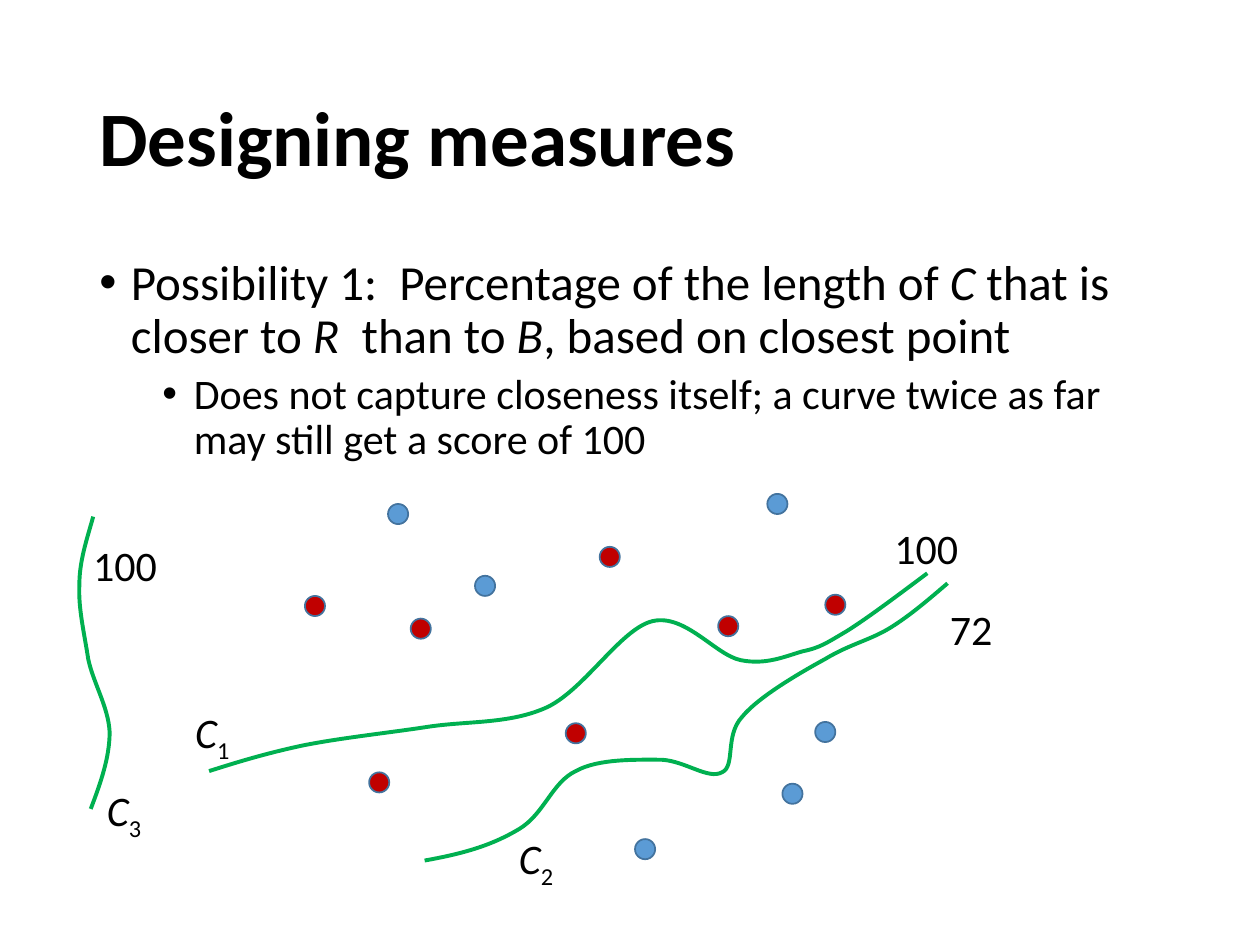
from lxml import etree
from pptx import Presentation
from pptx.dml.color import RGBColor
from pptx.enum.shapes import MSO_SHAPE
from pptx.enum.text import MSO_ANCHOR, MSO_AUTO_SIZE
from pptx.oxml.ns import qn
from pptx.util import Inches, Pt

OVAL = MSO_SHAPE.OVAL
MIDDLE = MSO_ANCHOR.MIDDLE
GROW = MSO_AUTO_SIZE.SHAPE_TO_FIT_TEXT
FONT = "Calibri"
COLORS = {"text": "000000", "blue": "5B9BD5", "red": "C00000",
          "outline": "43739E", "curve": "00B050"}


def color(name):
    return RGBColor.from_string(COLORS[name])


def add_span(para, text, size, bold=False, italic=False, subscript=False):
    span = para.add_run()
    span.text = text
    span.font.name = FONT
    span.font.size = Pt(size)
    span.font.bold = bold
    span.font.italic = italic
    span.font.color.rgb = color("text")
    if subscript:
        span._r.get_or_add_rPr().set("baseline", "-25000")


deck = Presentation()
deck.slide_width, deck.slide_height = Inches(10), Inches(7.5)
page = deck.slides.add_slide(deck.slide_layouts[6])
shapes = page.shapes

# Title
title = shapes.add_textbox(Inches(0.69), Inches(0.4), Inches(8.62), Inches(1.45))
title.text_frame.word_wrap = True
title.text_frame.vertical_anchor = MIDDLE
para = title.text_frame.paragraphs[0]
para.line_spacing = 0.9
add_span(para, "Designing measures", 44, bold=True)

# Bulleted text: level, size, space before, left margin, (text, italic) spans
bullets = [
    (0, 28, 10, 0.25, [
        ("Possibility 1:  Percentage of the length of ", False), ("C", True),
        (" that is closer to ", False), ("R", True), ("  than to ", False),
        ("B", True), (", based on closest point", False)]),
    (1, 24, 5, 0.75, [
        ("Does not capture closeness itself; a curve twice as far "
         "may still get a score of 100", False)]),
]
body = shapes.add_textbox(Inches(0.69), Inches(2), Inches(8.62), Inches(2.65))
body.text_frame.word_wrap = True
for index, (level, size, before, margin, spans) in enumerate(bullets):
    para = body.text_frame.add_paragraph() if index else body.text_frame.paragraphs[0]
    para.level = level
    para.line_spacing = 0.9
    para.space_before = Pt(before)
    props = para._p.get_or_add_pPr()
    props.set("marL", str(Inches(margin)))
    props.set("indent", str(Inches(-0.25)))
    etree.SubElement(props, qn("a:buFont")).set("typeface", "Arial")
    etree.SubElement(props, qn("a:buChar")).set("char", "•")
    for text, italic in spans:
        add_span(para, text, size, italic=italic)

# Points of the two sets
points = {
    "blue": [(3.77, 4.57), (3.08, 4), (6.47, 5.73), (5.04, 6.66),
             (6.21, 6.22), (6.09, 3.92)],
    "red": [(2.42, 4.73), (3.26, 4.91), (4.76, 4.34), (2.93, 6.13),
            (4.49, 5.74), (5.7, 4.89), (6.55, 4.72)],
}
for name, places in points.items():
    for left, top in places:
        dot = shapes.add_shape(OVAL, Inches(left), Inches(top), Inches(0.16), Inches(0.16))
        dot.shadow.inherit = False
        dot.fill.solid()
        dot.fill.fore_color.rgb = color(name)
        dot.line.color.rgb = color("outline")
        dot.line.width = Pt(1)

# Curves: a start, then two control points and an end for every segment
curves = [
    [(1.66, 6.12),
     (1.88, 6.05), (2.11, 5.98), (2.39, 5.92),
     (2.68, 5.86), (3.06, 5.82), (3.39, 5.77),
     (3.71, 5.72), (4.05, 5.75), (4.35, 5.61),
     (4.65, 5.46), (4.93, 4.99), (5.18, 4.93),
     (5.44, 4.87), (5.68, 5.2), (5.88, 5.24),
     (6.08, 5.28), (6.23, 5.21), (6.37, 5.17),
     (6.51, 5.14), (6.55, 5.11), (6.72, 5.01),
     (6.88, 4.91), (7.12, 4.73), (7.36, 4.55)],
    [(3.37, 6.83),
     (3.71, 6.77), (3.92, 6.7), (4.12, 6.58),
     (4.32, 6.46), (4.38, 6.21), (4.57, 6.12),
     (4.75, 6.02), (5.05, 6.03), (5.25, 6.03),
     (5.44, 6.04), (5.62, 6.19), (5.73, 6.13),
     (5.84, 6.08), (5.75, 5.84), (5.89, 5.69),
     (6.02, 5.53), (6.35, 5.34), (6.55, 5.23),
     (6.75, 5.11), (6.91, 5.08), (7.07, 4.98),
     (7.23, 4.88), (7.38, 4.75), (7.52, 4.63)],
    [(0.74, 4.1),
     (0.69, 4.28), (0.63, 4.45), (0.63, 4.64),
     (0.62, 4.83), (0.67, 5.03), (0.7, 5.23),
     (0.74, 5.42), (0.86, 5.61), (0.87, 5.81),
     (0.87, 6.01), (0.8, 6.21), (0.72, 6.42)],
]
for knots in curves:
    start, *rest = [(Inches(x), Inches(y)) for x, y in knots]
    builder = shapes.build_freeform(*start)
    builder.add_line_segments(rest, close=False)
    curve = builder.convert_to_shape()
    curve.shadow.inherit = False
    curve.fill.background()
    curve.line.color.rgb = color("curve")
    curve.line.width = Pt(2.25)
    # Join each three straight steps into one Bezier segment
    outline = next(curve._element.iter(qn("a:path")))
    steps = outline.findall(qn("a:lnTo"))
    for first in range(0, len(steps), 3):
        bezier = etree.SubElement(outline, qn("a:cubicBezTo"))
        for step in steps[first:first + 3]:
            bezier.append(step[0])
            outline.remove(step)

# Curve names and scores: text, subscript, left, top, width
labels = [
    ("C", "1", 1.45, 5.56, 0.49), ("C", "2", 4.02, 6.56, 0.49),
    ("C", "3", 0.75, 6.18, 0.49), ("100", "", 7, 4.1, 0.71),
    ("72", "", 7.44, 4.74, 0.54), ("100", "", 0.64, 4.23, 0.71),
]
for text, subscript, left, top, width in labels:
    box = shapes.add_textbox(Inches(left), Inches(top), Inches(width), Inches(0.5))
    box.text_frame.word_wrap = False
    box.text_frame.auto_size = GROW
    para = box.text_frame.paragraphs[0]
    add_span(para, text, 24, italic=bool(subscript))
    if subscript:
        add_span(para, subscript, 24, subscript=True)

deck.save("out.pptx")
